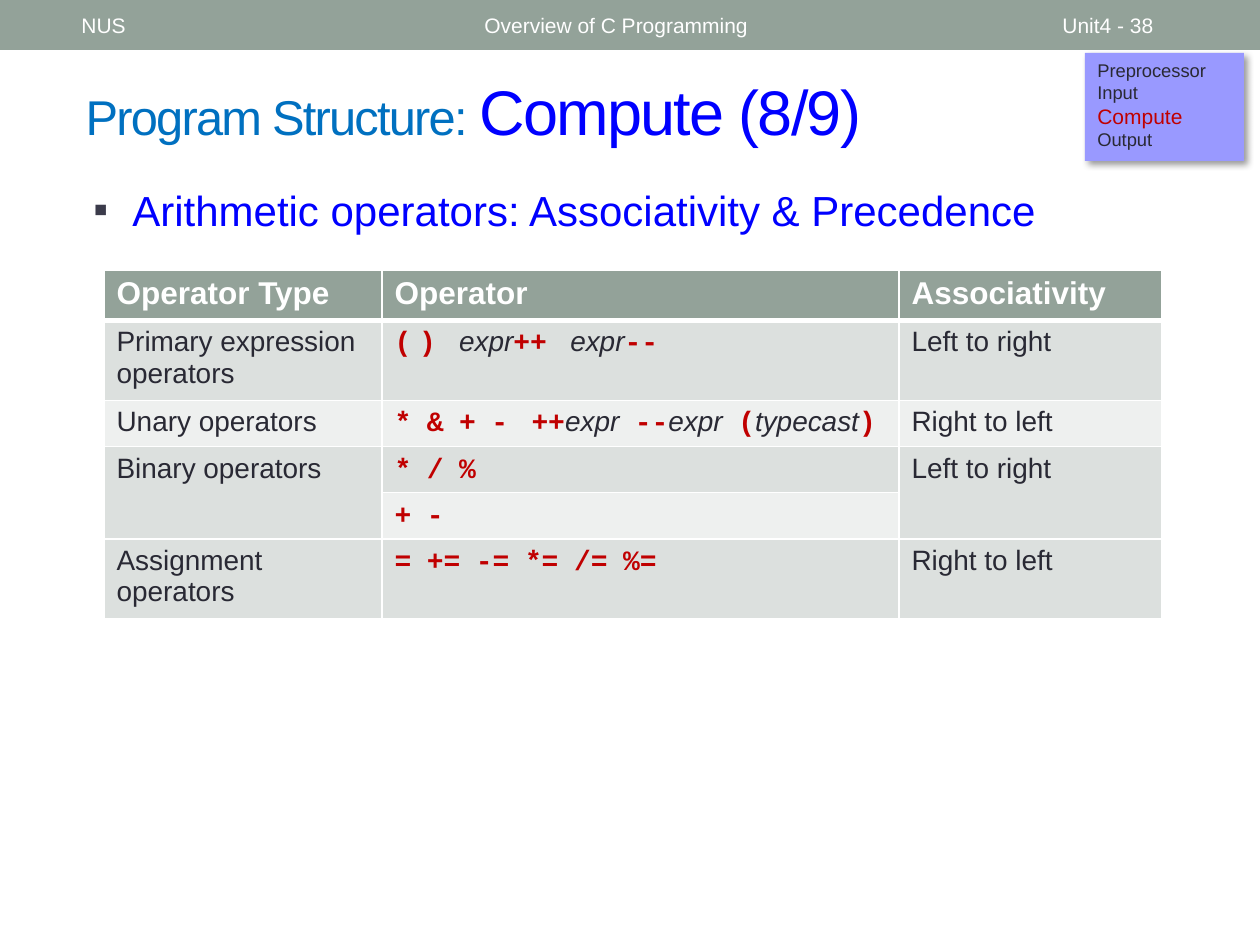
from itertools import groupby

from lxml.etree import SubElement
from pptx import Presentation
from pptx.dml.color import RGBColor
from pptx.enum.shapes import MSO_SHAPE
from pptx.enum.text import MSO_ANCHOR, PP_ALIGN
from pptx.oxml.ns import qn
from pptx.util import Pt

EMU_PER_PX = 914400 / 126
SAGE, INK, RED, BLUE, WHITE = "93A299", "292934", "C00000", "0000FF", "FFFFFF"
BAND_DARK, BAND_LIGHT = "DCE0DE", "EEF0EF"


def px(length):
    return round(length * EMU_PER_PX)


def color(value):
    return RGBColor.from_string(value)


def style_font(font, size, value, name="Arial", bold=False, italic=False):
    font.name, font.size, font.bold, font.italic = name, Pt(size), bold, italic
    font.color.rgb = color(value)


def add_xml(parent, tag, **attributes):
    return SubElement(parent, qn(tag), attributes)


class SlideBuilder:
    def __init__(self, presentation):
        self.slide = presentation.slides.add_slide(presentation.slide_layouts[5])

    def title(self, box, parts):
        title = self.slide.shapes.title
        title.left, title.top, title.width, title.height = map(px, box)
        frame = title.text_frame
        frame.word_wrap, frame.vertical_anchor = True, MSO_ANCHOR.MIDDLE
        paragraph = frame.paragraphs[0]
        paragraph.alignment = PP_ALIGN.LEFT
        for text, size, value in parts:
            run = paragraph.add_run()
            run.text = text
            style_font(run.font, size, value)
            run.font._element.set("spc", "-100")

    def rectangle(self, box, fill):
        shape = self.slide.shapes.add_shape(MSO_SHAPE.RECTANGLE, *map(px, box))
        shape.shadow.inherit = False
        shape.fill.solid()
        shape.fill.fore_color.rgb = color(fill)
        shape.line.fill.background()
        return shape

    def text(self, box, text, size, value, anchor=MSO_ANCHOR.TOP, bullet=None):
        frame = self.slide.shapes.add_textbox(*map(px, box)).text_frame
        frame.word_wrap, frame.vertical_anchor = True, anchor
        frame.text = text
        paragraph = frame.paragraphs[0]
        if bullet:
            properties = paragraph._p.get_or_add_pPr()
            properties.set("marL", str(px(39)))
            properties.set("indent", str(-px(39)))
            add_xml(add_xml(properties, "a:buClr"), "a:srgbClr", val="3B3B4B")
            add_xml(properties, "a:buFont", typeface="Arial")
            add_xml(properties, "a:buChar", char=bullet)
        style_font(paragraph.runs[0].font, size, value)

    def step_list(self, box, fill, steps, current):
        shape = self.rectangle(box, fill)
        effects = shape._element.spPr.find(qn("a:effectLst"))
        shadow = add_xml(effects, "a:outerShdw", blurRad=str(Pt(4)), dist=str(Pt(3)),
                         dir="2700000", algn="tl", rotWithShape="0")
        add_xml(add_xml(shadow, "a:srgbClr", val="000000"), "a:alpha", val="40000")
        frame = shape.text_frame
        frame.word_wrap, frame.vertical_anchor = True, MSO_ANCHOR.TOP
        frame.text = "\n".join(steps)
        for paragraph, step in zip(frame.paragraphs, steps):
            paragraph.alignment = PP_ALIGN.LEFT
            size, value = (12, RED) if step == current else (10.5, INK)
            style_font(paragraph.runs[0].font, size, value)

    def table(self, left, top, widths, heights):
        table = self.slide.shapes.add_table(
            len(heights), len(widths), px(left), px(top),
            px(sum(widths)), px(sum(heights))).table
        for column, width in zip(table.columns, widths):
            column.width = px(width)
        for row, height in zip(table.rows, heights):
            row.height = px(height)
        return table

    def cell(self, cell, fill, top=1, bottom=1):
        properties = cell._tc.get_or_add_tcPr()
        for side, width in (("L", 1), ("R", 1), ("T", top), ("B", bottom)):
            border = add_xml(properties, f"a:ln{side}", w=str(Pt(width)))
            add_xml(add_xml(border, "a:solidFill"), "a:srgbClr", val=WHITE)
        cell.fill.solid()
        cell.fill.fore_color.rgb = color(fill)

    def label(self, cell, text, size=16, value=INK, bold=False):
        cell.text = text
        style_font(cell.text_frame.paragraphs[0].runs[0].font, size, value, bold=bold)

    def operators(self, cell, parts):
        """Words are italic operands; everything else is bold code with narrow spaces."""
        paragraph = cell.text_frame.paragraphs[0]
        for part in parts:
            operand = part.strip().isalpha()
            pieces = [part] if operand else [
                "".join(group) for _, group in groupby(part, str.isspace)]
            for piece in pieces:
                run = paragraph.add_run()
                run.text = piece
                if operand:
                    style_font(run.font, 16, INK, italic=True)
                else:
                    name = "Arial" if piece.isspace() else "Courier New"
                    style_font(run.font, 16, RED, name, bold=True)


def main():
    presentation = Presentation()
    presentation.slide_width, presentation.slide_height = px(1260), px(945)
    builder = SlideBuilder(presentation)

    # Header band
    builder.rectangle((0, 0, 1260, 50), SAGE)
    for left, width, text in ((69, 394, "NUS"),
                              (472, 567, "Overview of C Programming"),
                              (1050, 147, "Unit4 - 38")):
        builder.text((left, 3, width, 45), text, 12, WHITE, MSO_ANCHOR.MIDDLE)

    # Title, progress box and heading
    builder.title((73, 63, 1124, 95), [("Program Structure: ", 27.9, "0070C0"),
                                       ("Compute (8/9)", 36, BLUE)])
    builder.step_list((1085, 53, 159, 108), "9999FF",
                      ["Preprocessor", "Input", "Compute", "Output"], "Compute")
    builder.text((81, 178, 1134, 84), "Arithmetic operators: Associativity & Precedence",
                 24, BLUE, bullet="▪")

    # Operator table
    headings = ["Operator Type", "Operator", "Associativity"]
    rows = [
        ("Primary expression operators", ["( )   ", "expr", "++   ", "expr", "--"],
         "Left to right"),
        ("Unary operators", ["*  &  +  -   ++", "expr  ", "--", "expr  ", "(", "typecast", ")"],
         "Right to left"),
        ("Binary operators", ["*  /  %"], "Left to right"),
        (None, ["+  -"], None),
        ("Assignment operators", ["=  +=  -=  *=  /=  %="], "Right to left"),
    ]
    table = builder.table(104, 270, (278, 517, 263), (48, 75, 46, 46, 46, 75))
    for column, heading in enumerate(headings):
        builder.cell(table.cell(0, column), SAGE, bottom=3)
        builder.label(table.cell(0, column), heading, 18, WHITE, bold=True)
    for index, (kind, operators, associativity) in enumerate(rows, 1):
        cells = [table.cell(index, column) for column in range(3)]
        for cell in cells:
            builder.cell(cell, BAND_DARK if index % 2 else BAND_LIGHT,
                         top=3 if index == 1 else 1)
        builder.operators(cells[1], operators)
        if kind:
            builder.label(cells[0], kind)
            builder.label(cells[2], associativity)
    for column in (0, 2):
        table.cell(3, column).merge(table.cell(4, column))

    presentation.save("out.pptx")


if __name__ == "__main__":
    main()
